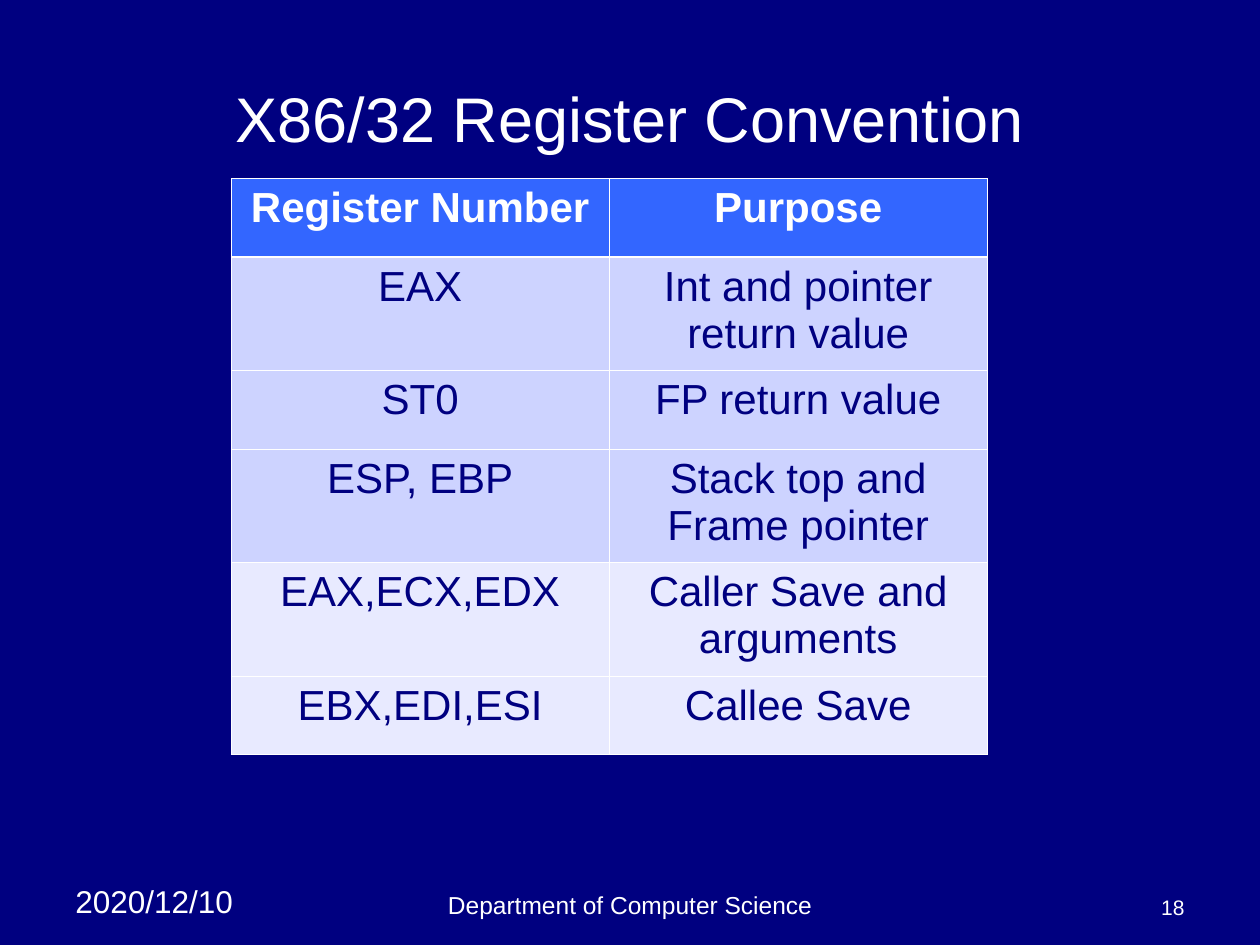
from dataclasses import dataclass

from lxml import etree
from pptx import Presentation
from pptx.dml.color import RGBColor
from pptx.enum.text import MSO_ANCHOR, MSO_AUTO_SIZE, PP_ALIGN
from pptx.oxml.ns import qn
from pptx.util import Cm, Pt

LEFT, CENTER, RIGHT = PP_ALIGN.LEFT, PP_ALIGN.CENTER, PP_ALIGN.RIGHT
TOP, BOTTOM = MSO_ANCHOR.TOP, MSO_ANCHOR.BOTTOM
NO_AUTOFIT = MSO_AUTO_SIZE.NONE
FONT = "Arial"
COLORS = {
    "navy": "000080",
    "white": "FFFFFF",
    "header": "3366FF",
    "band": "CDD3FF",
    "pale": "E8EAFF",
}
THIN, THICK = 0.45, 1.47


@dataclass
class Label:
    text: str
    left: float
    top: float
    width: float
    height: float
    size: int
    alignment: PP_ALIGN
    anchor: MSO_ANCHOR


@dataclass
class RegisterRow:
    register: str
    purpose: str
    fill: str
    height: float


FOOTERS = [
    Label("2020/12/10", 1.27, 17.65, 4.01, 1.02, 18, LEFT, TOP),
    Label("Department of Computer Science", 8.68, 17.35, 8.05, 1.32, 14, CENTER, BOTTOM),
    Label("18", 18.2, 17.35, 5.93, 1.32, 12, RIGHT, BOTTOM),
]
TITLE = Label("X86/32 Register Convention", 4.3, 1.47, 16.8, 1.78, 36, CENTER, TOP)
SINGLE, DOUBLE = 1.58, 2.29
ROWS = [
    RegisterRow("Register Number", "Purpose", "header", SINGLE),
    RegisterRow("EAX", "Int and pointer\nreturn value", "band", DOUBLE),
    RegisterRow("ST0", "FP return value", "band", SINGLE),
    RegisterRow("ESP, EBP", "Stack top and Frame pointer", "band", DOUBLE),
    RegisterRow("EAX,ECX,EDX", "Caller Save and arguments", "pale", DOUBLE),
    RegisterRow("EBX,EDI,ESI", "Callee Save", "pale", SINGLE),
]


def color(name: str) -> RGBColor:
    return RGBColor.from_string(COLORS[name])


def style_text(frame, size: int, color_name: str, alignment, bold: bool = False) -> None:
    for paragraph in frame.paragraphs:
        paragraph.alignment = alignment
        font = paragraph.font
        font.name, font.size, font.bold = FONT, Pt(size), bold
        font.color.rgb = color(color_name)


def fill_label(shape, label: Label) -> None:
    frame = shape.text_frame
    frame.text = label.text
    frame.word_wrap = True
    frame.auto_size = NO_AUTOFIT
    frame.vertical_anchor = label.anchor
    style_text(frame, label.size, "white", label.alignment)


def add_label(slide, label: Label) -> None:
    box = slide.shapes.add_textbox(
        Cm(label.left), Cm(label.top), Cm(label.width), Cm(label.height))
    fill_label(box, label)


def place_title(slide, label: Label) -> None:
    title = slide.shapes.title
    title.left, title.top = Cm(label.left), Cm(label.top)
    title.width, title.height = Cm(label.width), Cm(label.height)
    fill_label(title, label)


def set_borders(cell, top: float, bottom: float) -> None:
    properties = cell._tc.get_or_add_tcPr()
    for side, width in (("lnL", THIN), ("lnR", THIN), ("lnT", top), ("lnB", bottom)):
        line = etree.SubElement(properties, qn(f"a:{side}"), w=str(Pt(width)))
        fill = etree.SubElement(line, qn("a:solidFill"))
        etree.SubElement(fill, qn("a:srgbClr"), val=COLORS["white"])


def add_register_table(slide, rows: list[RegisterRow]) -> None:
    height = sum(row.height for row in rows)
    table = slide.shapes.add_table(
        len(rows), 2, Cm(4.66), Cm(3.6), Cm(15.24), Cm(height)).table
    for index, row in enumerate(rows):
        table.rows[index].height = Cm(row.height)
        is_header = index == 0
        for column, text in enumerate((row.register, row.purpose)):
            cell = table.cell(index, column)
            cell.text = text
            style_text(cell.text_frame, 24, "white" if is_header else "navy",
                       CENTER, is_header)
            set_borders(cell, THICK if index == 1 else THIN,
                        THICK if is_header else THIN)
            cell.fill.solid()
            cell.fill.fore_color.rgb = color(row.fill)


def main() -> None:
    presentation = Presentation()
    presentation.slide_width, presentation.slide_height = Cm(25.4), Cm(19.05)
    slide = presentation.slides.add_slide(presentation.slide_layouts[5])
    slide.background.fill.solid()
    slide.background.fill.fore_color.rgb = color("navy")
    place_title(slide, TITLE)
    for label in FOOTERS:
        add_label(slide, label)
    add_register_table(slide, ROWS)
    presentation.save("out.pptx")


if __name__ == "__main__":
    main()
